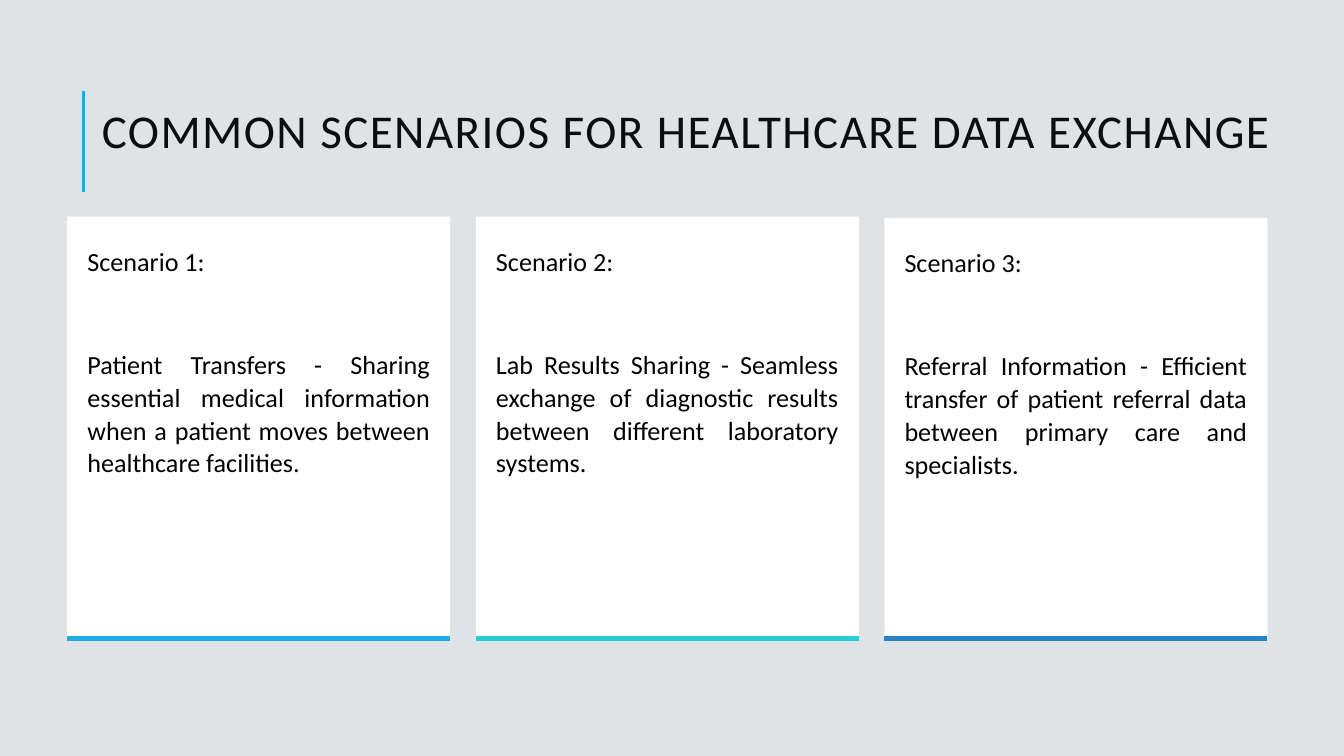
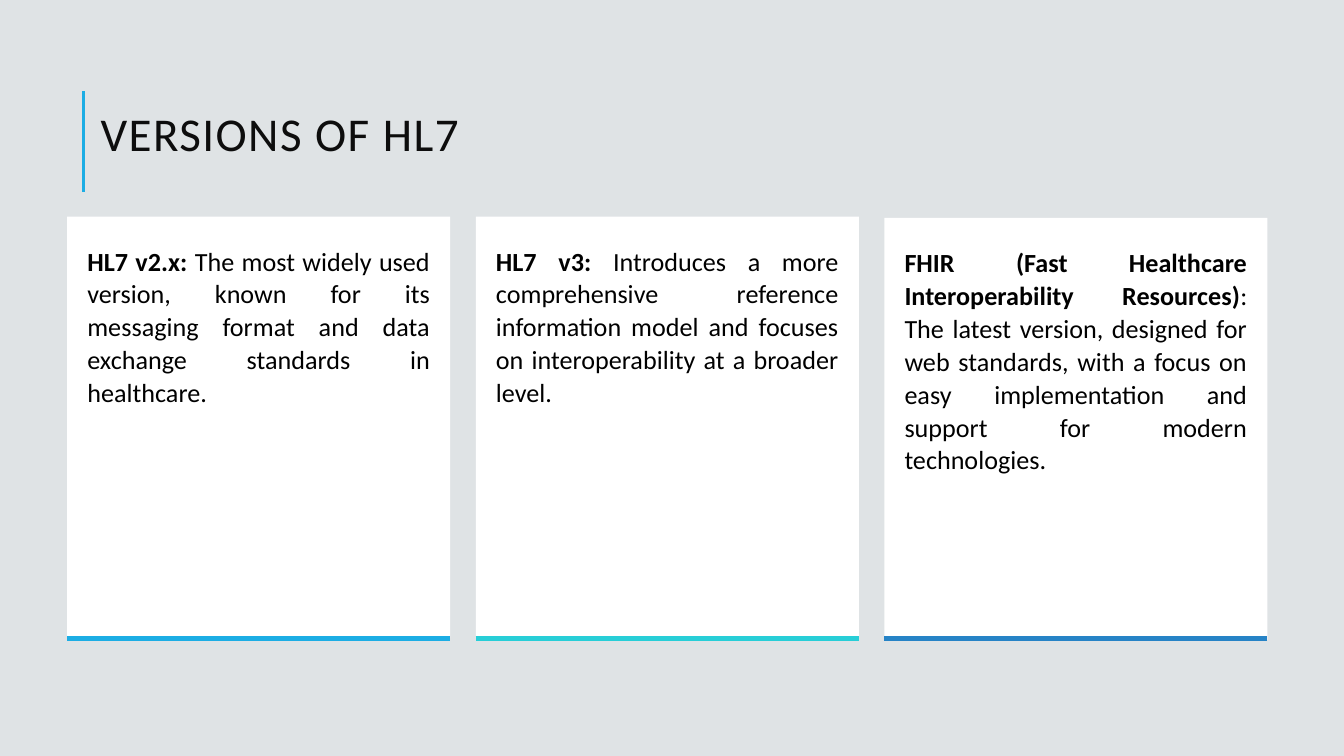
from dataclasses import dataclass
from typing import Any

from lxml import etree
from pptx import Presentation
from pptx.dml.color import RGBColor
from pptx.enum.shapes import MSO_CONNECTOR, MSO_SHAPE
from pptx.enum.text import MSO_ANCHOR, PP_ALIGN
from pptx.oxml.ns import qn
from pptx.slide import Slide
from pptx.util import Pt

STRAIGHT = MSO_CONNECTOR.STRAIGHT
RECTANGLE = MSO_SHAPE.RECTANGLE
TOP = MSO_ANCHOR.TOP
LEFT = PP_ALIGN.LEFT
JUSTIFY = PP_ALIGN.JUSTIFY


@dataclass(frozen=True)
class Theme:
    font: str = "Calibri"
    background: str = "DFE3E5"
    card: str = "FFFFFF"
    heading: str = "0D0D0D"
    body: str = "000000"
    accents: tuple[str, ...] = ("1CADE4", "27CED7", "2683C6")
    heading_size: float = 25.2
    body_size: float = 14
    heading_spacing: int = 80


@dataclass(frozen=True)
class Phrase:
    text: str
    bold: bool = False


Paragraph = tuple[Phrase, ...]
CardText = tuple[Paragraph, ...]


@dataclass(frozen=True)
class Topic:
    heading: str
    heading_left: float
    heading_top: float
    cards: tuple[CardText, ...]


THEME = Theme()
SLIDE_WIDTH, SLIDE_HEIGHT = 720, 405
CARD_LEFT, CARD_PITCH, CARD_WIDTH, CARD_HEIGHT = 36, 218.88, 205.2, 226
CARD_TOPS = (116, 116, 116.75)
UNDERLINE_Y = 342
RULE_X, RULE_TOP, RULE_BOTTOM = 44.75, 49, 103

HEADING_FRAME = dict(word_wrap=True, vertical_anchor=TOP, margin_left=Pt(7.2),
                     margin_top=Pt(7.2), margin_right=Pt(7.2), margin_bottom=Pt(7.2))
CARD_FRAME = dict(word_wrap=True, vertical_anchor=TOP, margin_left=Pt(10.8),
                  margin_top=Pt(14.4), margin_right=Pt(10.8), margin_bottom=Pt(7.2))
HEADING_PARAGRAPH = dict(alignment=LEFT, line_spacing=0.8)
CARD_PARAGRAPH = dict(alignment=JUSTIFY, line_spacing=1.05, space_after=Pt(10))
DETAIL_PARAGRAPH = CARD_PARAGRAPH | dict(space_before=Pt(27.6))
HEADING_FONT = dict(name=THEME.font, size=Pt(THEME.heading_size))
CARD_FONT = dict(name=THEME.font, size=Pt(THEME.body_size))


def scenario(number: int, detail: str) -> CardText:
    return (Phrase(f"Scenario {number}:"),), (Phrase(detail),)


def version(name: str, detail: str) -> CardText:
    return ((Phrase(name, bold=True), Phrase(detail)),)


TOPICS = (
    Topic("COMMON SCENARIOS FOR HEALTHCARE DATA EXCHANGE", 47.5, 53.25, (
        scenario(1, "Patient Transfers - Sharing essential medical information "
                    "when a patient moves between healthcare facilities."),
        scenario(2, "Lab Results Sharing - Seamless exchange of diagnostic results "
                    "between different laboratory systems."),
        scenario(3, "Referral Information - Efficient transfer of patient referral data "
                    "between primary care and specialists."),
    )),
    Topic("VERSIONS OF HL7", 46.8, 54.75, (
        version("HL7 v2.x: ", "The most widely used version, known for its messaging "
                              "format and data exchange standards in healthcare."),
        version("HL7 v3: ", "Introduces a more comprehensive reference information model "
                            "and focuses on interoperability at a broader level."),
        version("FHIR (Fast Healthcare Interoperability Resources)",
                ": The latest version, designed for web standards, with a focus on easy "
                "implementation and support for modern technologies."),
    )),
)


def apply_format(target: Any, values: dict[str, Any]) -> None:
    for attribute, value in values.items():
        setattr(target, attribute, value)


def add_phrase(paragraph: Any, phrase: Phrase, font: dict[str, Any], color: str) -> Any:
    run = paragraph.add_run()
    run.text = phrase.text
    apply_format(run.font, font | dict(bold=phrase.bold))
    run.font.color.rgb = RGBColor.from_string(color)
    return run


def draw_line(slide: Slide, start: tuple[float, float], end: tuple[float, float],
              color: str, width: float) -> None:
    line = slide.shapes.add_connector(STRAIGHT, *map(Pt, start + end))
    line.line.color.rgb = RGBColor.from_string(color)
    line.line.width = Pt(width)
    etree.SubElement(line._element.spPr, qn("a:effectLst"))


def draw_heading(slide: Slide, topic: Topic) -> None:
    draw_line(slide, (RULE_X, RULE_BOTTOM), (RULE_X, RULE_TOP), THEME.accents[0], 1.5)
    heading = slide.shapes.add_textbox(
        Pt(topic.heading_left), Pt(topic.heading_top), Pt(648), Pt(45.36))
    apply_format(heading.text_frame, HEADING_FRAME)
    paragraph = heading.text_frame.paragraphs[0]
    apply_format(paragraph, HEADING_PARAGRAPH)
    run = add_phrase(paragraph, Phrase(topic.heading), HEADING_FONT, THEME.heading)
    run.font._element.set("spc", str(THEME.heading_spacing))


def draw_card(slide: Slide, left: float, top: float, content: CardText) -> None:
    card = slide.shapes.add_shape(
        RECTANGLE, Pt(left), Pt(top), Pt(CARD_WIDTH), Pt(CARD_HEIGHT))
    card.shadow.inherit = False
    card.fill.solid()
    card.fill.fore_color.rgb = RGBColor.from_string(THEME.card)
    card.line.fill.background()
    frame = card.text_frame
    apply_format(frame, CARD_FRAME)
    for index, phrases in enumerate(content):
        paragraph = frame.add_paragraph() if index else frame.paragraphs[0]
        apply_format(paragraph, DETAIL_PARAGRAPH if index else CARD_PARAGRAPH)
        for phrase in phrases:
            add_phrase(paragraph, phrase, CARD_FONT, THEME.body)


def draw_topic(slide: Slide, topic: Topic) -> None:
    slide.background.fill.solid()
    slide.background.fill.fore_color.rgb = RGBColor.from_string(THEME.background)
    draw_heading(slide, topic)
    lefts = [CARD_LEFT + column * CARD_PITCH for column in range(len(topic.cards))]
    for left, top, content in zip(lefts, CARD_TOPS, topic.cards):
        draw_card(slide, left, top, content)
    for left, accent in zip(lefts, THEME.accents):
        draw_line(slide, (left, UNDERLINE_Y), (left + CARD_WIDTH, UNDERLINE_Y), accent, 3)


def main() -> None:
    deck = Presentation()
    deck.slide_width, deck.slide_height = Pt(SLIDE_WIDTH), Pt(SLIDE_HEIGHT)
    blank = deck.slide_layouts[6]
    for topic in TOPICS:
        draw_topic(deck.slides.add_slide(blank), topic)
    deck.save("out.pptx")


if __name__ == "__main__":
    main()
